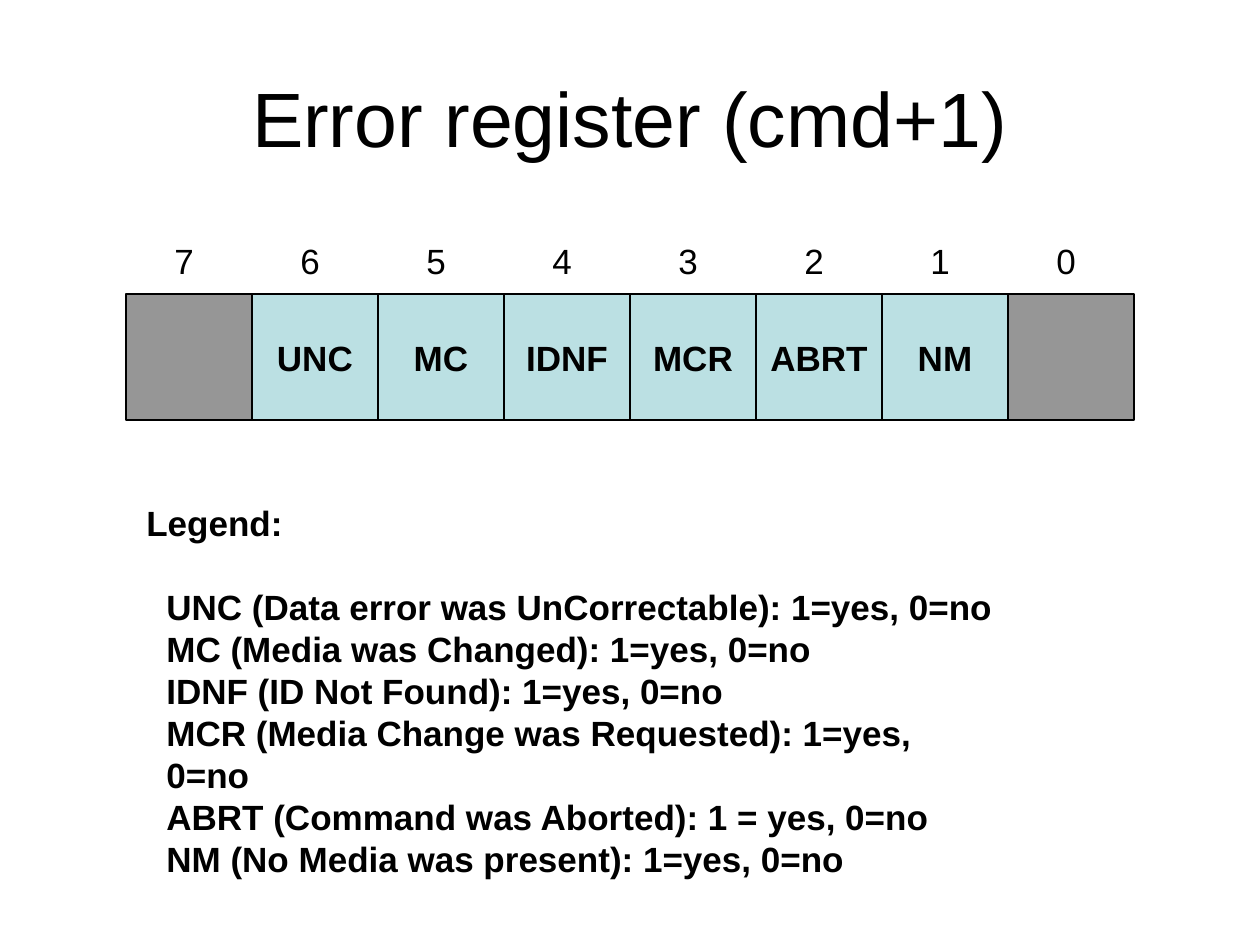
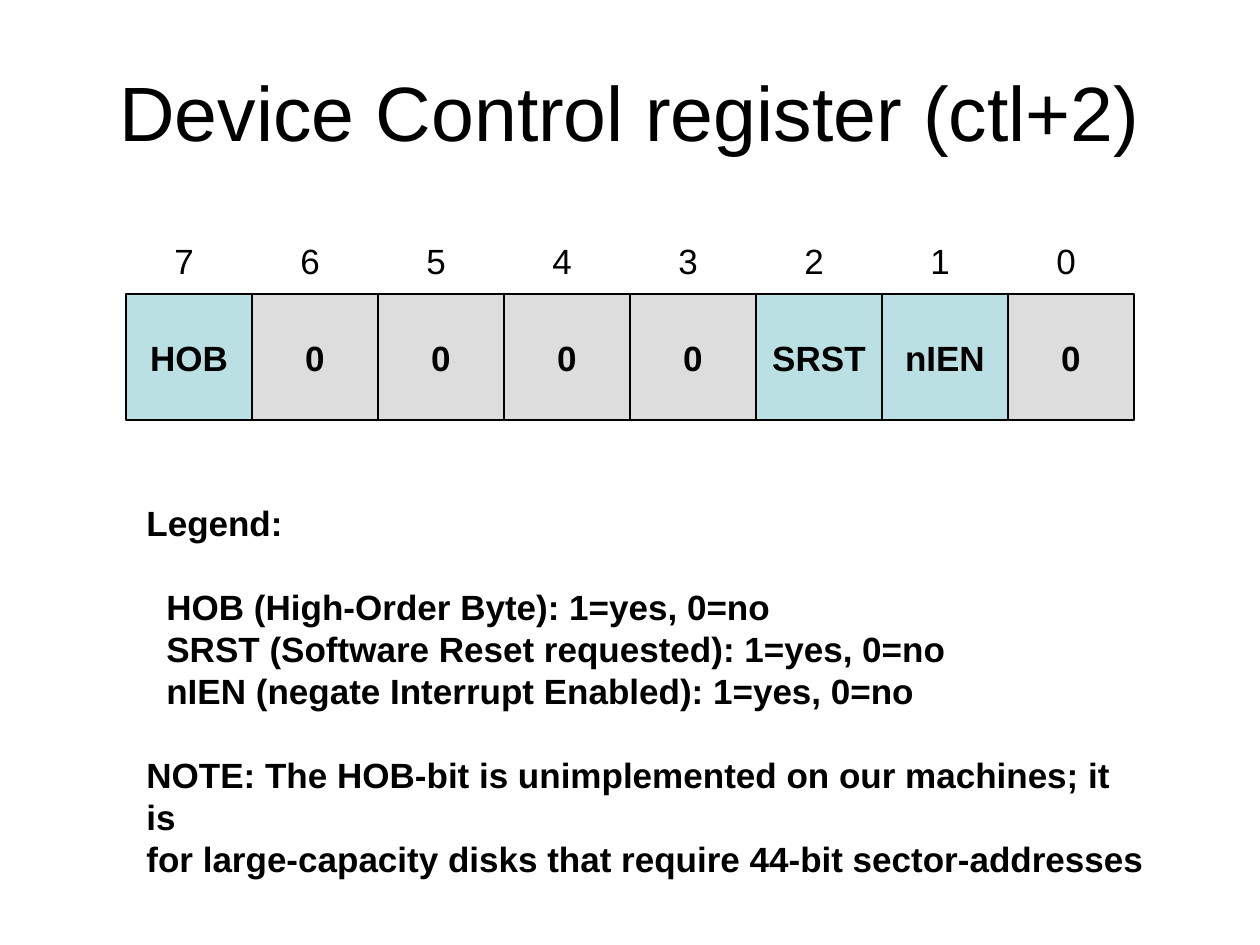
from lxml.etree import SubElement
from pptx import Presentation
from pptx.dml.color import RGBColor
from pptx.enum.shapes import MSO_SHAPE as Shape
from pptx.enum.text import MSO_ANCHOR as Anchor, PP_ALIGN as Align
from pptx.oxml.ns import qn
from pptx.util import Emu, Pt

# Content: each bit is (label, kind), from bit 7 down to bit 0
REGISTERS = [
    {
        "title": "Error register (cmd+1)",
        "title_top": 38,
        "bits": [("", "unused"), ("UNC", "flag"), ("MC", "flag"), ("IDNF", "flag"),
                 ("MCR", "flag"), ("ABRT", "flag"), ("NM", "flag"), ("", "unused")],
        "legend": ["UNC (Data error was UnCorrectable): 1=yes, 0=no",
                   "MC (Media was Changed): 1=yes, 0=no",
                   "IDNF (ID Not Found): 1=yes, 0=no",
                   "MCR (Media Change was Requested): 1=yes, 0=no",
                   "ABRT (Command was Aborted): 1 = yes, 0=no",
                   "NM (No Media was present): 1=yes, 0=no"],
        "note": [],
        "legend_size": (882, 349),
    },
    {
        "title": "Device Control register (ctl+2)",
        "title_top": 32,
        "bits": [("HOB", "flag"), ("0", "zero"), ("0", "zero"), ("0", "zero"),
                 ("0", "zero"), ("SRST", "flag"), ("nIEN", "flag"), ("0", "zero")],
        "legend": ["HOB (High-Order Byte): 1=yes, 0=no",
                   "SRST (Software Reset requested): 1=yes, 0=no",
                   "nIEN (negate Interrupt Enabled): 1=yes, 0=no"],
        "note": ["NOTE: The HOB-bit is unimplemented on our machines; it is",
                 "for large-capacity disks that require 44-bit sector-addresses"],
        "legend_size": (1028, 391),
    },
]

# Shared style
FONT = "Arial"
BLACK = RGBColor(0x00, 0x00, 0x00)
FILLS = {
    "flag": RGBColor(0xBB, 0xE0, 0xE3),
    "zero": RGBColor(0xDD, 0xDD, 0xDD),
    "unused": RGBColor(0x96, 0x96, 0x96),
}
TITLE_SIZE, BODY_SIZE = 44, 20
BLANK_LINE = Pt(24)

# Shared geometry in px
PX_PER_INCH = 126
CELL = 126
REGISTER_LEFT, REGISTER_TOP = 126, 294
NUMBERS_BOX = (162, 233, 931, 55)
LEGEND_LEFT, LEGEND_TOP, LEGEND_INDENT = 134, 495, 20


def px(length):
    return Emu(round(length * 914400 / PX_PER_INCH))


def add_span(para, text, size=BODY_SIZE, bold=False):
    span = para.add_run()
    span.text = text
    span.font.name = FONT
    span.font.size = Pt(size)
    span.font.bold = bold
    span.font.color.rgb = BLACK


def add_text_frame(page, left, top, width, height, wrap=True):
    box = page.shapes.add_textbox(px(left), px(top), px(width), px(height))
    box.text_frame.word_wrap = wrap
    return box.text_frame


def add_title(page, text, top):
    frame = add_text_frame(page, 63, top, 1134, 158)
    frame.vertical_anchor = Anchor.MIDDLE
    para = frame.paragraphs[0]
    para.alignment = Align.CENTER
    add_span(para, text, TITLE_SIZE)


def add_bit_cells(page, bits):
    for column, (label, kind) in enumerate(bits):
        cell = page.shapes.add_shape(
            Shape.RECTANGLE, px(REGISTER_LEFT + column * CELL), px(REGISTER_TOP),
            px(CELL), px(CELL))
        cell.shadow.inherit = False
        cell.fill.solid()
        cell.fill.fore_color.rgb = FILLS[kind]
        cell.line.color.rgb = BLACK
        cell.line.width = Pt(0.75)
        if label:
            frame = cell.text_frame
            frame.word_wrap = False
            frame.vertical_anchor = Anchor.MIDDLE
            para = frame.paragraphs[0]
            para.alignment = Align.CENTER
            add_span(para, label, bold=True)


def add_bit_numbers(page, count):
    para = add_text_frame(page, *NUMBERS_BOX).paragraphs[0]
    # One tab stop per cell keeps each number above its bit
    stops = SubElement(para._p.get_or_add_pPr(), qn("a:tabLst"))
    for column in range(1, count):
        SubElement(stops, qn("a:tab"), pos=str(px(column * CELL)), algn="l")
    add_span(para, "\t".join(str(bit) for bit in reversed(range(count))))


def add_legend(page, entries, note, size):
    frame = add_text_frame(page, LEGEND_LEFT, LEGEND_TOP, *size, wrap=False)
    add_span(frame.paragraphs[0], "Legend:", bold=True)
    for lines, indent in ((entries, LEGEND_INDENT), (note, 0)):
        for number, line in enumerate(lines):
            para = frame.add_paragraph()
            para._p.get_or_add_pPr().set("marL", str(px(indent)))
            if number == 0:
                para.space_before = BLANK_LINE
            add_span(para, line, bold=True)


def main():
    deck = Presentation()
    deck.slide_width, deck.slide_height = px(1260), px(945)
    for register in REGISTERS:
        page = deck.slides.add_slide(deck.slide_layouts[6])
        add_title(page, register["title"], register["title_top"])
        add_bit_cells(page, register["bits"])
        add_legend(page, register["legend"], register["note"], register["legend_size"])
        add_bit_numbers(page, len(register["bits"]))
    deck.save("out.pptx")


if __name__ == "__main__":
    main()
